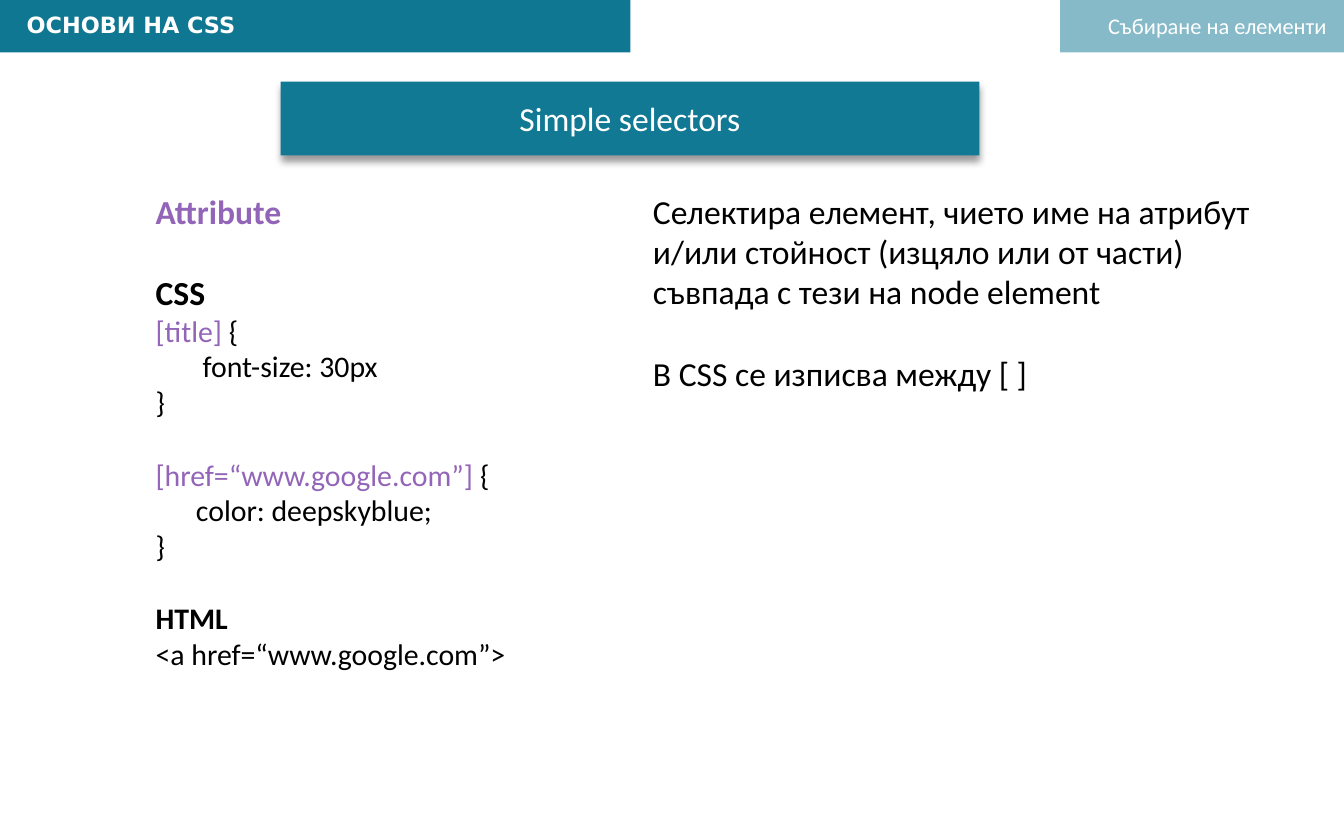
from lxml.etree import SubElement
from pptx import Presentation
from pptx.dml.color import RGBColor
from pptx.enum.shapes import MSO_SHAPE
from pptx.enum.text import MSO_ANCHOR, MSO_AUTO_SIZE, PP_ALIGN
from pptx.oxml import parse_xml
from pptx.oxml.ns import nsdecls, qn
from pptx.util import Pt

TEAL = RGBColor(0x0F, 0x77, 0x92)
TITLE_TEAL = RGBColor(0x12, 0x79, 0x94)
PURPLE = RGBColor(0x93, 0x65, 0xB8)
BLACK = RGBColor(0, 0, 0)
WHITE = RGBColor(0xFF, 0xFF, 0xFF)

# Each line: size, bold, space before, then (text, colour) runs
CODE_LINES = [
    (18, True, 0, [("Attribute", PURPLE)]),
    (18, True, 22, [("CSS", BLACK)]),
    (16, False, 0, [("[title]", PURPLE), (" {", BLACK)]),
    (16, False, 0, [("       font-size: 30px", BLACK)]),
    (16, False, 0, [("}", BLACK)]),
    (16, False, 19.5, [("[href=“www.google.com”]", PURPLE), (" {", BLACK)]),
    (16, False, 0, [("      color: deepskyblue;", BLACK)]),
    (16, False, 0, [("}", BLACK)]),
    (16, True, 19.5, [("HTML", BLACK)]),
    (16, False, 0, [("<a href=“www.google.com”>", BLACK)]),
]
EXPLANATION_LINES = [
    (18, False, 0, [("Селектира елемент, чието име на атрибут и/или стойност "
                     "(изцяло или от части) съвпада с тези на node element", BLACK)]),
    (18, False, 22, [("В CSS се изписва между [ ]", BLACK)]),
]


def add_bar(s, left, top, width, height, opacity=100):
    sp = s.shapes.add_shape(MSO_SHAPE.RECTANGLE, Pt(left), Pt(top), Pt(width), Pt(height))
    sp.shadow.inherit = False
    sp.fill.solid()
    sp.fill.fore_color.rgb = TEAL
    sp.line.fill.background()
    if opacity < 100:
        colour = sp.fill._xPr.find(qn("a:solidFill"))[0]
        SubElement(colour, qn("a:alpha"), val=str(opacity * 1000))


def add_text(s, left, top, width, height, lines, font="Calibri",
             align=PP_ALIGN.LEFT, wrap=True):
    tf = s.shapes.add_textbox(Pt(left), Pt(top), Pt(width), Pt(height)).text_frame
    tf.word_wrap = wrap
    for i, (size, bold, before, runs) in enumerate(lines):
        p = tf.add_paragraph() if i else tf.paragraphs[0]
        p.alignment = align
        if before:
            p.space_before = Pt(before)
        p.font.name, p.font.size, p.font.bold = font, Pt(size), bold
        for text, colour in runs:
            r = p.add_run()
            r.text = text
            r.font.color.rgb = colour


def add_header(s, left, top, width, height):
    course_width, topic_width = 337.7, 152
    add_bar(s, left + width - topic_width, top, topic_width, height, opacity=50)
    add_bar(s, left, top, course_width, height)
    add_text(s, left + 7.2, top + 2.2, 324.7, 21.6,
             [(12, True, 0, [("ОСНОВИ НА CSS", WHITE)])], font="DejaVu Sans")
    add_text(s, left + width - 134.6, top + 2.9, 132.5, 21.6,
             [(12, False, 0, [("Събиране на елементи", WHITE)])],
             align=PP_ALIGN.RIGHT, wrap=False)


def place_title(s, left, top, width, height):
    """Turn the title placeholder into a rounded card with a soft shadow."""
    title = s.shapes.title
    title.left, title.top, title.width, title.height = map(Pt, (left, top, width, height))
    sp_pr = title.element.spPr
    sp_pr.append(parse_xml(
        f'<a:prstGeom {nsdecls("a")} prst="roundRect"><a:avLst/></a:prstGeom>'))
    title.fill.solid()
    title.fill.fore_color.rgb = TITLE_TEAL
    sp_pr.append(parse_xml(
        f'<a:effectLst {nsdecls("a")}><a:outerShdw blurRad="{Pt(4)}" dist="{Pt(3)}" '
        'dir="5400000" rotWithShape="0"><a:srgbClr val="000000"><a:alpha val="40000"/>'
        '</a:srgbClr></a:outerShdw></a:effectLst>'))
    tf = title.text_frame
    tf.text = "Simple selectors"
    tf.auto_size = MSO_AUTO_SIZE.NONE
    tf.vertical_anchor = MSO_ANCHOR.MIDDLE
    p = tf.paragraphs[0]
    p.alignment = PP_ALIGN.CENTER
    p.font.name, p.font.size = "Calibri", Pt(18)
    p.font.color.rgb = WHITE


def add_body(s, left, top, width, height):
    code_width, explanation_width = 223.2, 351.4
    add_text(s, left, top, code_width, height, CODE_LINES)
    add_text(s, left + width - explanation_width, top, explanation_width, 138.2,
             EXPLANATION_LINES)


def main():
    prs = Presentation()
    prs.slide_width, prs.slide_height = Pt(720), Pt(450)
    s = prs.slides.add_slide(prs.slide_layouts[5])
    add_header(s, 0, 0, 720, 28.1)
    place_title(s, 150.3, 43.7, 374.4, 39.6)
    add_body(s, 76.3, 98.6, 617.8, 269.3)
    prs.save("out.pptx")


if __name__ == "__main__":
    main()
